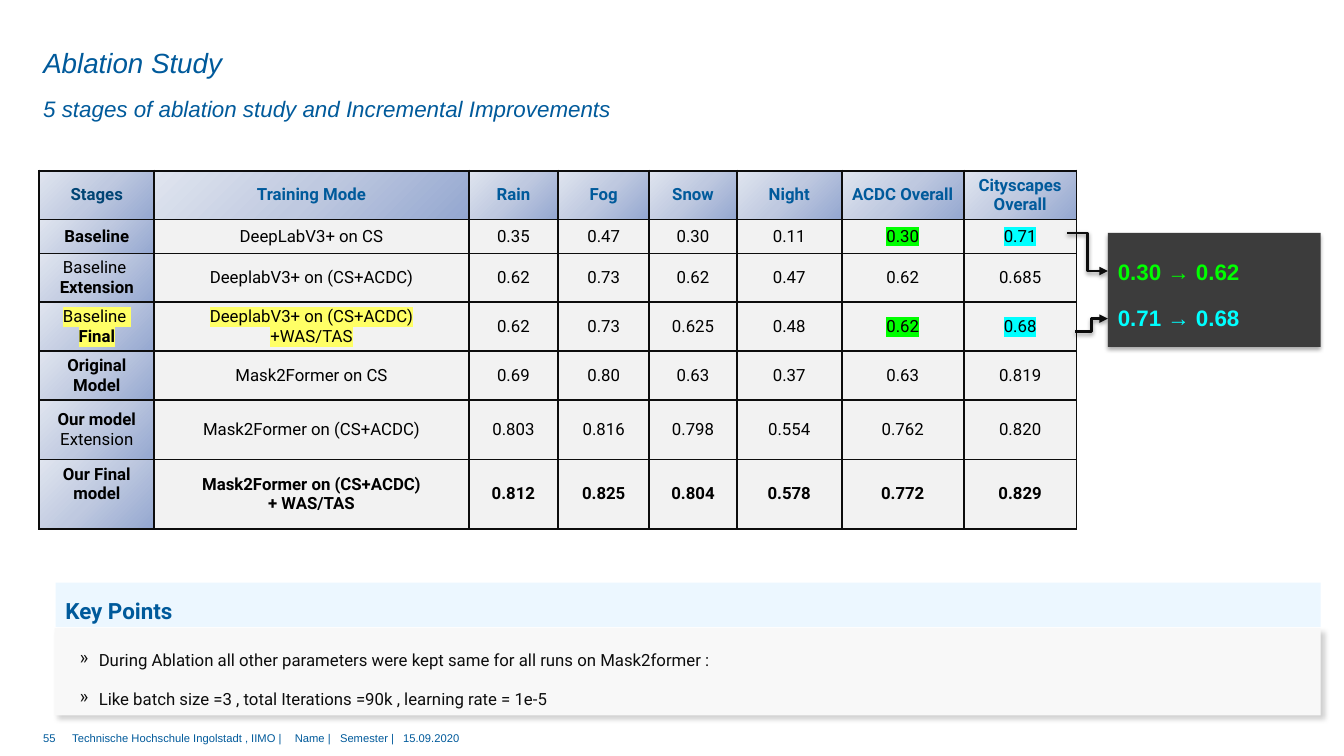
from dataclasses import dataclass

from pptx import Presentation
from pptx import util as u
from pptx.dml.color import RGBColor
from pptx.enum import shapes, text
from pptx.oxml import parse_xml
from pptx.oxml.ns import nsdecls, qn


@dataclass(frozen=True)
class Theme:
    blue: str = "005A9B"
    navy: str = "004474"
    ink: str = "0D0D0D"
    black: str = "000000"
    cell: str = "F2F2F2"
    panel: str = "F8F8F8"
    dark: str = "3C3C3C"
    sky: str = "B8E1FF"
    green: str = "00FF00"
    cyan: str = "00FFFF"
    yellow: str = "FFFF66"
    gradient: tuple = ("94A7D0", "BFC9E0", "E0E5EF")
    head_font: str = "Arial"
    body_font: str = "Roboto"
    title: float = 19.8
    heading: float = 16
    body: float = 12
    small: float = 8


T = Theme()
MIDDLE = text.MSO_ANCHOR.MIDDLE
CENTER = text.PP_ALIGN.CENTER

STAGES = [  # a leading * marks a bold line
    ["*Stages", "*Training Mode", "*Rain", "*Fog", "*Snow", "*Night",
     "*ACDC Overall", "*Cityscapes Overall"],
    ["*Baseline", "DeepLabV3+ on CS", "0.35", "0.47", "0.30", "0.11", "0.30", "0.71"],
    ["Baseline \n*Extension", "DeeplabV3+ on (CS+ACDC)",
     "0.62", "0.73", "0.62", "0.47", "0.62", "0.685"],
    ["Baseline \n*Final", "DeeplabV3+ on (CS+ACDC)\n+WAS/TAS",
     "0.62", "0.73", "0.625", "0.48", "0.62", "0.68"],
    ["*Original Model", "Mask2Former on CS",
     "0.69", "0.80", "0.63", "0.37", "0.63", "0.819"],
    ["*Our model\nExtension", "Mask2Former on (CS+ACDC)",
     "0.803", "0.816", "0.798", "0.554", "0.762", "0.820"],
    ["*Our Final\n*model", "*Mask2Former on (CS+ACDC)\n*+ WAS/TAS",
     "*0.812", "*0.825", "*0.804", "*0.578", "*0.772", "*0.829"],
]
HIGHLIGHTS = {(1, 6): T.green, (1, 7): T.cyan, (3, 0): T.yellow,
              (3, 1): T.yellow, (3, 6): T.green, (3, 7): T.cyan}
COLUMNS = [2.9, 7.92, 2.26, 2.29, 2.21, 2.64, 3.08, 2.84]
ROWS = [1.23, 0.86, 1.23, 1.23, 1.23, 1.5, 1.74]


class SlideBuilder:
    def __init__(self, theme, slide):
        self.theme, self.slide = theme, slide

    def format(self, p, size, color, font=None, bold=False, italic=False, highlight=None):
        for r in p.runs:
            r.font.size, r.font.name = u.Pt(size), font or self.theme.head_font
            r.font.bold, r.font.italic = bold, italic
            r.font.color.rgb = RGBColor.from_string(color)
            if highlight:
                mark = parse_xml(f'<a:highlight {nsdecls("a")}><a:srgbClr val="{highlight}"/></a:highlight>')
                r.font._element.find(qn("a:solidFill")).addnext(mark)

    def frame(self, sp, margins=(0, 0), anchor=text.MSO_ANCHOR.TOP):
        """Set insets (sides, top and bottom) and anchor; return the text frame."""
        tf = sp.text_frame
        tf.word_wrap, tf.auto_size = True, text.MSO_AUTO_SIZE.NONE
        tf.margin_left = tf.margin_right = u.Cm(margins[0])
        tf.margin_top = tf.margin_bottom = u.Cm(margins[1])
        tf.vertical_anchor = anchor
        return tf

    def title(self, x, y, w, h, words):
        sp = self.slide.shapes.title
        sp.left, sp.top, sp.width, sp.height = map(u.Cm, (x, y, w, h))
        p = self.frame(sp, anchor=MIDDLE).paragraphs[0]
        p.text, p.alignment = words, text.PP_ALIGN.LEFT
        self.format(p, self.theme.title, self.theme.blue, italic=True)

    def text(self, x, y, w, h, words, size, color, margins=(0, 0), spacing=None,
             tabs=(), **style):
        sp = self.slide.shapes.add_textbox(*map(u.Cm, (x, y, w, h)))
        p = self.frame(sp, margins).paragraphs[0]
        p.text = words
        if spacing:
            p.line_spacing = spacing
        if tabs:
            stops = "".join(f'<a:tab pos="{u.Cm(t)}" algn="l"/>' for t in tabs)
            p._p.get_or_add_pPr().append(
                parse_xml(f'<a:tabLst {nsdecls("a")}>{stops}</a:tabLst>'))
        self.format(p, size, color, **style)

    def shadow(self, sp, alpha, blur, distance, angle):
        sp._element.spPr.append(parse_xml(
            f'<a:effectLst {nsdecls("a")}><a:outerShdw blurRad="{u.Pt(blur)}" '
            f'dist="{u.Pt(distance)}" dir="{angle * 60000}" algn="tl" rotWithShape="0">'
            f'<a:srgbClr val="{self.theme.black}"><a:alpha val="{alpha * 1000}"/>'
            '</a:srgbClr></a:outerShdw></a:effectLst>'))

    def box(self, x, y, w, h, color, alpha=None, shadow=None):
        sp = self.slide.shapes.add_shape(
            shapes.MSO_SHAPE.RECTANGLE, *map(u.Cm, (x, y, w, h)))
        sp.fill.solid()
        sp.fill.fore_color.rgb = RGBColor.from_string(color)
        sp.line.fill.background()
        if alpha:
            clr = sp._element.spPr.find(qn("a:solidFill"))[0]
            clr.append(parse_xml(f'<a:alpha {nsdecls("a")} val="{alpha * 1000}"/>'))
        if shadow:
            self.shadow(sp, *shadow)
        else:
            sp.shadow.inherit = False
        return sp

    def heading(self, sp, words):
        p = self.frame(sp, (0.25, 0.13), MIDDLE).paragraphs[0]
        p.text, p.alignment = words, text.PP_ALIGN.LEFT
        p.line_spacing, p.space_after = 1.4, u.Pt(6)
        self.format(p, self.theme.heading, self.theme.blue, self.theme.body_font, bold=True)

    def bullets(self, sp, lines):
        tf = self.frame(sp, (0.25, 0.3))
        tf.text = "\n".join(lines)
        for p in tf.paragraphs:
            p.alignment, p.line_spacing, p.space_after = text.PP_ALIGN.LEFT, 1.5, u.Pt(6)
            pPr = p._p.get_or_add_pPr()
            pPr.set("marL", str(u.Cm(0.86)))
            pPr.set("indent", str(u.Cm(-0.48)))
            pPr.append(parse_xml(f'<a:buChar {nsdecls("a")} char="»"/>'))
            self.format(p, self.theme.body, self.theme.ink, self.theme.body_font)

    def elbow_arrow(self, x1, y1, x2, y2):
        c = self.slide.shapes.add_connector(
            shapes.MSO_CONNECTOR.ELBOW, *map(u.Cm, (x1, y1, x2, y2)))
        c.line.width = u.Pt(2)
        c.line.color.rgb = RGBColor.from_string(self.theme.ink)
        c.line._get_or_add_ln().append(
            parse_xml(f'<a:tailEnd {nsdecls("a")} type="triangle"/>'))
        self.shadow(c, 38, 3.1, 1.6, 90)

    def paint_cell(self, cell, shaded):
        """Fill the cell and draw its four borders."""
        tcPr = cell._tc.get_or_add_tcPr()
        if shaded:
            stops = "".join(f'<a:gs pos="{i * 50000}"><a:srgbClr val="{c}"/></a:gs>'
                            for i, c in enumerate(self.theme.gradient))
            tcPr.append(parse_xml(
                f'<a:gradFill {nsdecls("a")} rotWithShape="1"><a:gsLst>{stops}</a:gsLst>'
                f'<a:lin ang="{225 * 60000}" scaled="0"/></a:gradFill>'))
        else:
            cell.fill.solid()
            cell.fill.fore_color.rgb = RGBColor.from_string(self.theme.cell)
        for i, side in enumerate("LRTB"):
            tcPr.insert(i, parse_xml(
                f'<a:ln{side} {nsdecls("a")} w="{u.Pt(1.5)}"><a:solidFill>'
                f'<a:srgbClr val="{self.theme.ink}"/></a:solidFill></a:ln{side}>'))

    def table(self, x, y, widths, heights, rows, highlights):
        table = self.slide.shapes.add_table(
            len(rows), len(widths), *map(u.Cm, (x, y, sum(widths), sum(heights)))).table
        table.first_row = table.horz_banding = False
        for column, width in zip(table.columns, widths):
            column.width = u.Cm(width)
        for i, (row, height) in enumerate(zip(rows, heights)):
            table.rows[i].height = u.Cm(height)
            for j, words in enumerate(row):
                cell = table.cell(i, j)
                cell.margin_left = cell.margin_right = u.Cm(0.22)
                cell.margin_top = cell.margin_bottom = u.Cm(0.1)
                cell.vertical_anchor = MIDDLE
                color = self.theme.black if i else self.theme.blue if j else self.theme.navy
                cell.text = words.replace("*", "")
                for p, line in zip(cell.text_frame.paragraphs, words.split("\n")):
                    p.alignment = CENTER
                    self.format(p, self.theme.body, color, self.theme.body_font,
                                bold=line.startswith("*"), highlight=highlights.get((i, j)))
                self.paint_cell(cell, shaded=i == 0 or j == 0)
        table.cell(len(rows) - 1, 0).margin_bottom = u.Cm(0.6)


def main():
    prs = Presentation()
    prs.slide_width, prs.slide_height = u.Cm(33.87), u.Cm(19.05)
    s = SlideBuilder(T, prs.slides.add_slide(prs.slide_layouts[5]))

    s.title(1.09, 1.12, 27.1, 0.91, "Ablation Study")
    s.text(1.09, 2.06, 27.1, 0.94, "5 stages of ablation study and Incremental Improvements",
           T.heading, T.blue, spacing=1.5, italic=True)
    s.text(1.09, 18.42, 0.7, 0.58, "55", T.small, T.blue)
    s.text(1.82, 18.42, 22.8, 0.68,
           "Technische Hochschule Ingolstadt , IIMO |\tName |\tSemester |\t15.09.2020",
           T.small, T.blue, tabs=(5.61, 6.75, 8.34))

    points = s.box(1.38, 15.82, 31.9, 2.21, T.panel, shadow=(18, 4, 3, 45))
    s.bullets(points, [
        "During Ablation all other parameters were kept same for all runs on Mask2former :",
        "Like batch size =3 , total Iterations =90k , learning rate = 1e-5"])
    s.heading(s.box(1.4, 14.68, 31.88, 1.12, T.sky, alpha=26), "Key Points")

    s.table(0.99, 4.3, COLUMNS, ROWS, STAGES, HIGHLIGHTS)
    s.elbow_arrow(26.9, 5.87, 27.92, 6.83)
    s.elbow_arrow(27.1, 8.36, 27.92, 8.03)
    s.box(27.92, 5.87, 5.36, 2.87, T.dark, shadow=(35, 3.1, 1.8, 90))
    for y, change, color in [(6.38, "0.30 → 0.62", T.green), (7.54, "0.71 → 0.68", T.cyan)]:
        s.text(27.92, y, 3.8, 0.94, change, T.heading, color, margins=(0.25, 0.13), bold=True)

    prs.save("out.pptx")


if __name__ == "__main__":
    main()
